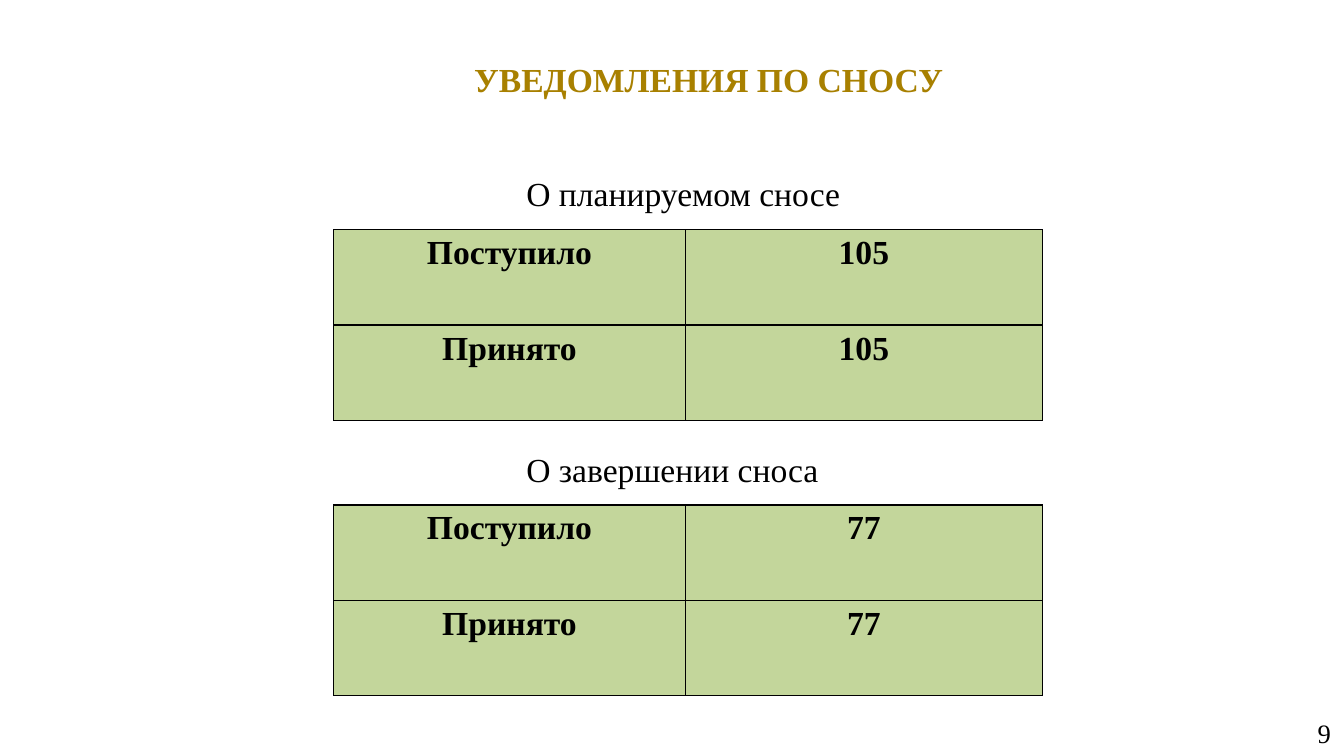
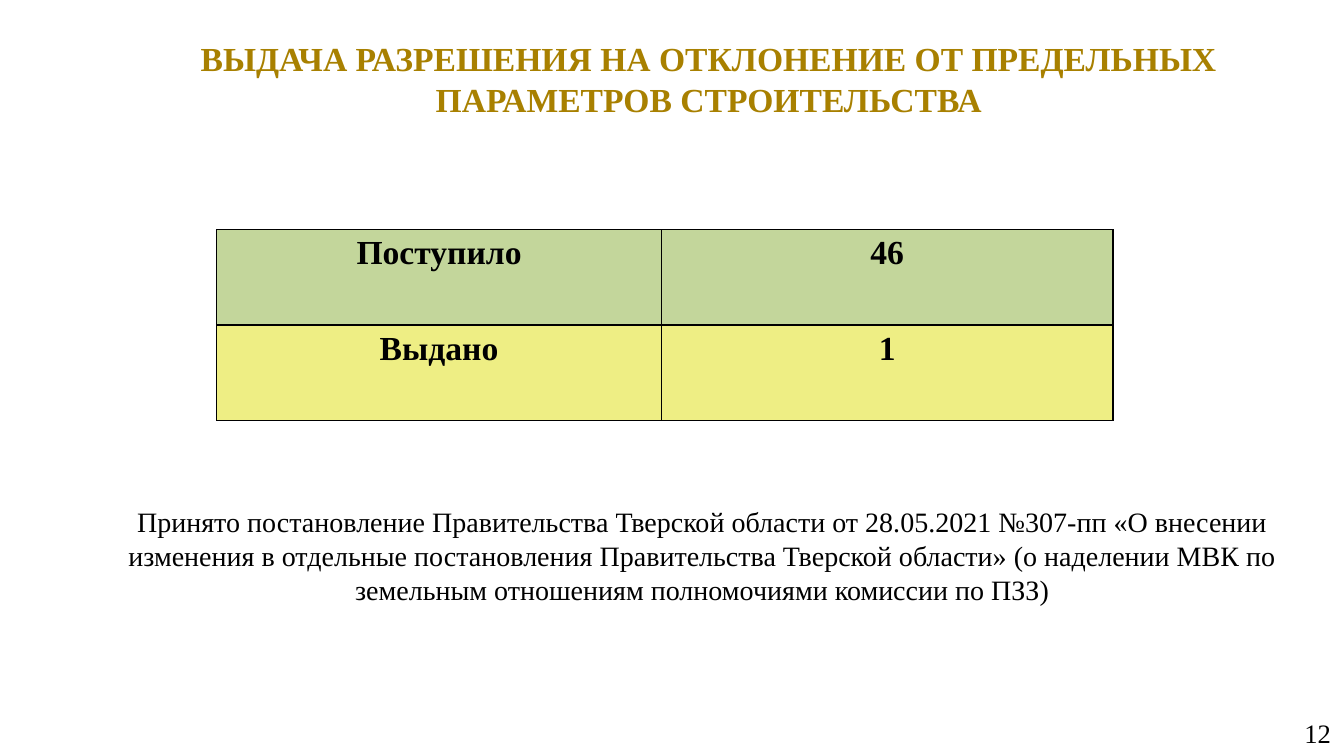
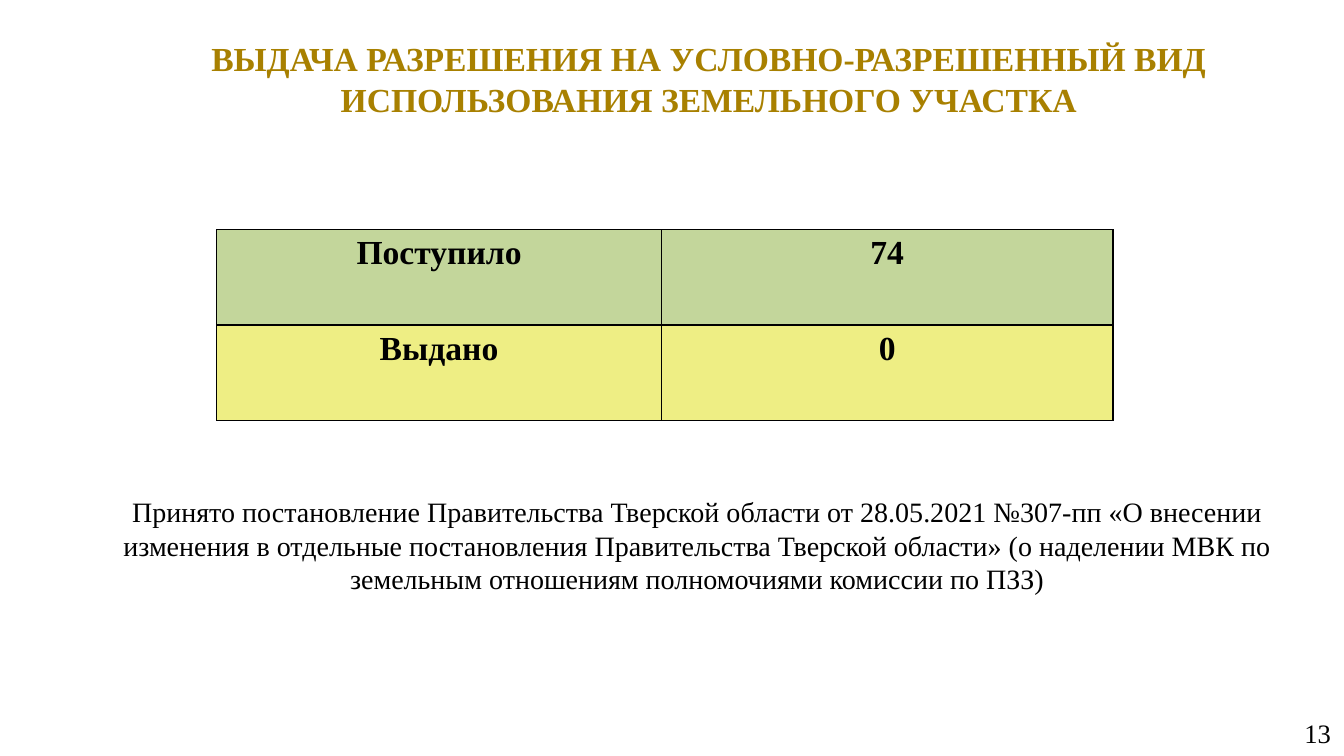
import collections

import lxml.etree
import pptx
import pptx.dml.color
import pptx.enum.text
import pptx.oxml.ns
import pptx.util

Inches = pptx.util.Inches
Pt = pptx.util.Pt
Align = pptx.enum.text.PP_ALIGN
Anchor = pptx.enum.text.MSO_ANCHOR
Box = collections.namedtuple("Box", "left top width height")


class Theme:
    font = "Times New Roman"
    gold, black = "A88000", "000000"
    green, yellow = "C3D69B", "EEEE84"
    heading, note, number = 24, 20, 19
    inset_x, inset_y, cell_inset_y = 0.13, 0.07, 0.05
    border = 0.96
    label_share = 0.496


TITLE = Box(1.31, 0.28, 11.44, 1)
PAGE_NUMBER = Box(10.22, 7.07, 3.11, 0.4)
DECREE = (
    "Принято постановление Правительства Тверской области от 28.05.2021 №307-пп "
    "«О внесении изменения в отдельные постановления Правительства Тверской области» "
    "(о наделении МВК по земельным отношениям полномочиями комиссии по ПЗЗ)"
)


def emu(box):
    return [Inches(length) for length in box]


def rgb(color):
    return pptx.dml.color.RGBColor.from_string(color)


def write(frame, text, *, size=Theme.heading, color=Theme.black, bold=False, align=Align.CENTER):
    paragraph = frame.paragraphs[0]
    paragraph.alignment = align
    run = paragraph.add_run()
    run.text = text
    run.font.name = Theme.font
    run.font.size = Pt(size)
    run.font.bold = bold
    run.font.color.rgb = rgb(color)


def add_text(slide, box, text, *, anchor=Anchor.MIDDLE, **style):
    frame = slide.shapes.add_textbox(*emu(box)).text_frame
    frame.word_wrap = True
    frame.vertical_anchor = anchor
    frame.margin_left = frame.margin_right = Inches(Theme.inset_x)
    frame.margin_top = frame.margin_bottom = Inches(Theme.inset_y)
    write(frame, text, **style)


def outline(cell):
    properties = cell._tc.get_or_add_tcPr()
    for side in ("a:lnL", "a:lnR", "a:lnT", "a:lnB"):
        edge = lxml.etree.SubElement(
            properties, pptx.oxml.ns.qn(side), w=str(int(Pt(Theme.border))))
        paint = lxml.etree.SubElement(edge, pptx.oxml.ns.qn("a:solidFill"))
        lxml.etree.SubElement(paint, pptx.oxml.ns.qn("a:srgbClr"), val=Theme.black)


def add_counts(slide, box, counts):
    """Table of (label, count, fill) rows that fills the box."""
    table = slide.shapes.add_table(len(counts), 2, *emu(box)).table
    table.first_row = table.horz_banding = False
    label_width = box.width * Theme.label_share
    table.columns[0].width = Inches(label_width)
    table.columns[1].width = Inches(box.width - label_width)
    for row, (label, count, fill) in enumerate(counts):
        table.rows[row].height = Inches(box.height / len(counts))
        for column, text in enumerate((label, count)):
            cell = table.cell(row, column)
            cell.margin_left = cell.margin_right = Inches(Theme.inset_x)
            cell.margin_top = cell.margin_bottom = Inches(Theme.cell_inset_y)
            outline(cell)
            cell.fill.solid()
            cell.fill.fore_color.rgb = rgb(fill)
            write(cell.text_frame, text, bold=True)


def add_captioned_counts(slide, box, caption, counts):
    add_counts(slide, box, counts)
    caption_box = Box(box.left + 1.78, box.top - 0.63, 3.46, 0.53)
    add_text(slide, caption_box, caption, anchor=Anchor.TOP, align=Align.LEFT)


def start_slide(deck, title, number):
    """Blank slide with the shared title and page number."""
    slide = deck.slides.add_slide(deck.slide_layouts[6])
    add_text(slide, TITLE, title, color=Theme.gold, bold=True)
    add_text(slide, PAGE_NUMBER, str(number), size=Theme.number, align=Align.RIGHT)
    return slide


def demolition_slide(deck, title, number, notices):
    slide = start_slide(deck, title, number)
    for index, (caption, received, accepted) in enumerate(notices):
        box = Box(3.31, 2.28 + index * 2.73, 7.03, 1.89)
        counts = [("Поступило", received, Theme.green), ("Принято", accepted, Theme.green)]
        add_captioned_counts(slide, box, caption, counts)


def permit_slide(deck, title, number, received, issued, decree_box):
    slide = start_slide(deck, title, number)
    counts = [("Поступило", received, Theme.green), ("Выдано", issued, Theme.yellow)]
    add_counts(slide, Box(2.15, 2.28, 8.89, 1.89), counts)
    add_text(slide, decree_box, DECREE, size=Theme.note)


deck = pptx.Presentation()
deck.slide_width, deck.slide_height = Inches(13.33), Inches(7.5)

demolition_slide(deck, "УВЕДОМЛЕНИЯ ПО СНОСУ", 9, [
    ("О планируемом сносе", "105", "105"),
    ("О завершении сноса", "77", "77"),
])
permit_slide(
    deck, "ВЫДАЧА РАЗРЕШЕНИЯ НА ОТКЛОНЕНИЕ ОТ ПРЕДЕЛЬНЫХ ПАРАМЕТРОВ СТРОИТЕЛЬСТВА",
    12, "46", "1", Box(1.01, 4.98, 11.91, 1.06))
permit_slide(
    deck, "ВЫДАЧА РАЗРЕШЕНИЯ НА УСЛОВНО-РАЗРЕШЕННЫЙ ВИД ИСПОЛЬЗОВАНИЯ ЗЕМЕЛЬНОГО УЧАСТКА",
    13, "74", "0", Box(0.96, 4.72, 11.91, 1.37))

deck.save("out.pptx")
